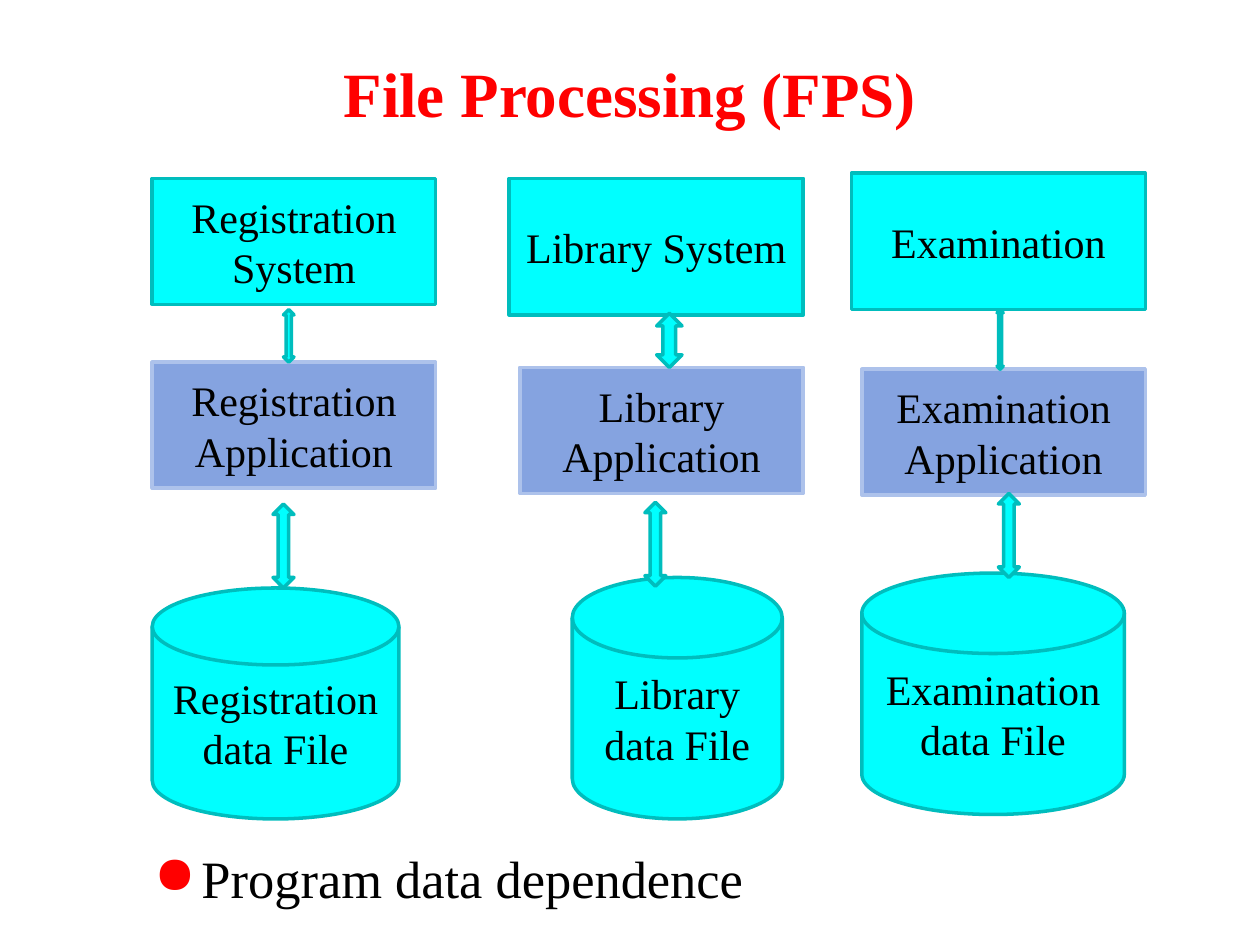
"""Build the file processing slide with three system columns."""
from pptx import Presentation
from pptx.dml.color import RGBColor
from pptx.enum.shapes import MSO_SHAPE
from pptx.enum.text import MSO_ANCHOR, PP_ALIGN
from pptx.util import Pt
from lxml.etree import SubElement
from pptx.oxml.ns import qn

BLACK = RGBColor(0, 0, 0)
RED = RGBColor(0xFF, 0, 0)
CYAN = RGBColor(0, 0xFF, 0xFF)
TEAL = RGBColor(0, 0xBD, 0xBD)
BLUE = RGBColor(0x85, 0xA3, 0xE0)
PALE_BLUE = RGBColor(0xAD, 0xC2, 0xEB)
FONT = "Times New Roman"
HANGING = 27

TITLE = "File Processing (FPS)"
CONCLUSION = "Program data dependence"
COLUMNS = [
    {
        "system": ("Registration System", (87, 102, 162, 72)),
        "application": ("Registration Application", (87, 207)),
        "file": ("Registration data File", (87, 336, 141, 132)),
        "upper_arrow": (165, 177, 6),
        "lower_arrow": (162, 288),
    },
    {
        "system": ("Library System", (291, 102, 168, 78)),
        "application": ("Library Application", (297, 210)),
        "file": ("Library data File", (327, 330, 120, 138)),
        "upper_arrow": (382.5, 179, 14.5),
        "lower_arrow": (374.5, 287),
    },
    {
        "system": ("Examination", (486.5, 99, 168, 78)),
        "application": ("Examination Application", (492.5, 211)),
        "file": ("Examination data File", (492.5, 327.5, 150, 138)),
        "upper_arrow": (571.5, 177, 3.5),
        "lower_arrow": (576.5, 282),
    },
]
APPLICATION_SIZE = (162, 72)
LOWER_ARROW_SIZE = (12, 48)


def write(paragraph, text, size, color=BLACK, bold=False):
    run = paragraph.add_run()
    run.text = text
    run.font.color.rgb = color
    for name, value in {"name": FONT, "size": Pt(size), "bold": bold}.items():
        setattr(run.font, name, value)


def add_part(slide, kind, box, text="", fill=CYAN, line=TEAL):
    shape = slide.shapes.add_shape(kind, *map(Pt, box))
    shape.shadow.inherit = False
    shape.fill.solid()
    shape.fill.fore_color.rgb = fill
    shape.line.color.rgb = line
    shape.line.width = Pt(2)
    if text:
        frame = shape.text_frame
        frame.word_wrap = True
        frame.vertical_anchor = MSO_ANCHOR.MIDDLE
        frame.paragraphs[0].alignment = PP_ALIGN.CENTER
        write(frame.paragraphs[0], text, 24)


def add_arrow(slide, center, top, width, height):
    box = (center - width / 2, top, width, height)
    add_part(slide, MSO_SHAPE.UP_DOWN_ARROW, box)


def add_column(slide, column):
    text, box = column["file"]
    add_part(slide, MSO_SHAPE.FLOWCHART_MAGNETIC_DISK, box, text)
    text, box = column["system"]
    add_part(slide, MSO_SHAPE.RECTANGLE, box, text)
    text, corner = column["application"]
    box = corner + APPLICATION_SIZE
    add_part(slide, MSO_SHAPE.RECTANGLE, box, text, BLUE, PALE_BLUE)
    center, top, width = column["upper_arrow"]
    add_arrow(slide, center, top, width, corner[1] - top)
    add_arrow(slide, *column["lower_arrow"], *LOWER_ARROW_SIZE)


def add_title(slide):
    title = slide.shapes.title
    box = {"left": 54, "top": 17.5, "width": 612, "height": 70}
    for name, value in box.items():
        setattr(title, name, Pt(value))
    title.text_frame.vertical_anchor = MSO_ANCHOR.MIDDLE
    paragraph = title.text_frame.paragraphs[0]
    paragraph.alignment = PP_ALIGN.CENTER
    write(paragraph, TITLE, 36, RED, True)


def add_conclusion(slide):
    box = slide.shapes.add_textbox(Pt(81), Pt(480), Pt(612), Pt(50))
    box.text_frame.word_wrap = True
    paragraph = box.text_frame.paragraphs[0]
    paragraph.space_before = Pt(3)
    write(paragraph, CONCLUSION, 30)
    properties = paragraph._p.get_or_add_pPr()
    properties.set("marL", str(Pt(HANGING)))
    properties.set("indent", str(-Pt(HANGING)))
    color = SubElement(properties, qn("a:buClr"))
    SubElement(color, qn("a:srgbClr"), val=str(RED))
    SubElement(properties, qn("a:buChar"), char="●")


presentation = Presentation()
presentation.slide_width = Pt(720)
presentation.slide_height = Pt(540)
slide = presentation.slides.add_slide(presentation.slide_layouts[5])
add_title(slide)
for column in COLUMNS:
    add_column(slide, column)
add_conclusion(slide)
presentation.save("out.pptx")
